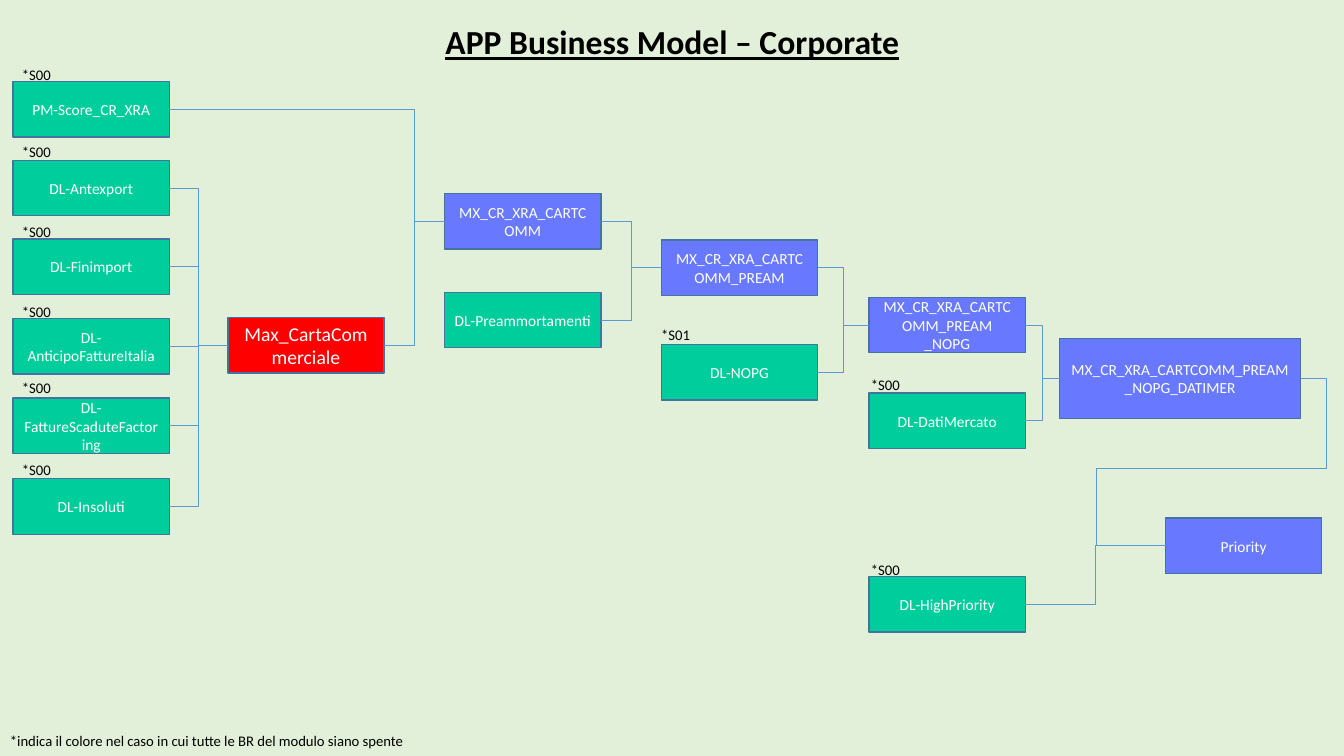
"""Build the corporate business model flow slide."""
from lxml.etree import SubElement
from pptx import Presentation
from pptx.dml.color import RGBColor
from pptx.enum.shapes import MSO_CONNECTOR as Link, MSO_SHAPE as Preset
from pptx.enum.text import MSO_ANCHOR as Anchor, PP_ALIGN as Align
from pptx.oxml.ns import qn
from pptx.util import Inches, Pt

COLORS = {
    "background": "E2F0D9",
    "source": "00CD9C",
    "merge": "6879FF",
    "maximum": "FF0000",
    "border": "43739E",
    "link": "5B9BD5",
    "dark": "000000",
    "light": "FFFFFF",
}
TITLE = {"size": Pt(24), "bold": True, "underline": True}
NOTE = {"size": Pt(10.5)}
MODULE = {"size": Pt(11)}
MAXIMUM = {"size": Pt(14)}
MODULE_W, MODULE_H = 1.55, 0.55
LEFT_SITE, RIGHT_SITE = 1, 3


def color(name):
    """Return the named colour."""
    return RGBColor.from_string(COLORS[name])


def write(frame, text, style, ink, align, anchor):
    """Fill a text frame with evenly styled paragraphs."""
    frame.word_wrap = True
    frame.vertical_anchor = anchor
    frame.text = text
    for paragraph in frame.paragraphs:
        paragraph.alignment = align
        font = paragraph.font
        for run in paragraph.runs:
            font = run.font
            font.name = "Calibri"
            font.color.rgb = color(ink)
            for key, value in style.items():
                setattr(font, key, value)


def add_note(slide, box, text, style=NOTE, anchor=Anchor.TOP):
    """Add plain dark text in the given box."""
    note = slide.shapes.add_textbox(*map(Inches, box))
    write(note.text_frame, text, style, "dark", Align.LEFT, anchor)


def add_module(slide, left, top, text, kind="source", size=(MODULE_W, MODULE_H),
               style=MODULE, tag=None):
    """Add a module and, if given, its tag as text, shift and lift."""
    module = slide.shapes.add_shape(
        Preset.RECTANGLE, *map(Inches, (left, top, *size)))
    module.shadow.inherit = False
    module.fill.solid()
    module.fill.fore_color.rgb = color(kind)
    module.line.color.rgb = color("border")
    module.line.width = Pt(1)
    write(module.text_frame, text, style, "light", Align.CENTER, Anchor.MIDDLE)
    if tag:
        label, shift, lift = tag
        add_note(slide, (left - shift, top - lift, 1.3, 0.29), label)
    return module


def connect(slide, start, end, bends=(0.5,)):
    """Link two modules with an elbow whose bends are fractions of its extent."""
    link = slide.shapes.add_connector(Link.ELBOW, 0, 0, 0, 0)
    link.begin_connect(start, RIGHT_SITE)
    link.end_connect(end, LEFT_SITE)
    link.line.color.rgb = color("link")
    link.line.width = Pt(0.5)
    properties = link.element.spPr
    SubElement(properties, qn("a:effectLst"))
    geometry = properties.find(qn("a:prstGeom"))
    geometry.set("prst", f"bentConnector{len(bends) + 2}")
    guides = geometry.find(qn("a:avLst"))
    for number, bend in enumerate(bends, 1):
        SubElement(guides, qn("a:gd"), name=f"adj{number}",
                   fmla=f"val {round(bend * 100000)}")


def add_sources(slide, left, top):
    """Stack the tagged source modules and return them."""
    sources = (
        (0, "PM-Score_CR_XRA", 0.21),
        (0.78, "DL-Antexport", 0.22),
        (1.56, "DL-Finimport", 0.21),
        (2.35, "DL-AnticipoFattureItalia", 0.21),
        (3.14, "DL-FattureScaduteFactoring", 0.24),
        (3.94, "DL-Insoluti", 0.23),
    )
    return [add_module(slide, left, top + drop, text, tag=("*S00", 0.01, lift))
            for drop, text, lift in sources]


def add_chain(slide, left, top, sources):
    """Add the merging chain fed by the sources and return its last module."""
    score, *commercial = sources
    maximum = add_module(slide, left, top + 1.23, "Max_CartaCommerciale",
                         "maximum", style=MAXIMUM)
    for source in commercial:
        connect(slide, source, maximum)

    steps = (
        ((2.15, 0), "MX_CR_XRA_CARTCOMM", (MODULE_W, MODULE_H),
         (0.98, "DL-Preammortamenti", None)),
        ((4.3, 0.46), "MX_CR_XRA_CARTCOMM_PREAM", (MODULE_W, MODULE_H),
         (1.04, "DL-NOPG", ("*S01", 0.1, 0.24))),
        ((6.36, 1.03), "MX_CR_XRA_CARTCOMM_PREAM\n_NOPG", (MODULE_W, MODULE_H),
         (0.95, "DL-DatiMercato", ("*S00", 0.08, 0.22))),
        ((8.25, 1.44), "MX_CR_XRA_CARTCOMM_PREAM\n_NOPG_DATIMER", (2.39, 0.79),
         None),
    )
    feeds = [(score, (0.89,)), (maximum, (0.5,))]
    for (shift, drop), text, size, extra in steps:
        merged = add_module(slide, left + shift, top + drop, text, "merge", size)
        for feed, bends in feeds:
            connect(slide, feed, merged, bends)
        feeds = [(merged, (0.5,))]
        if extra:
            gap, name, tag = extra
            added = add_module(slide, left + shift, top + drop + gap, name, tag=tag)
            feeds.append((added, (0.5,)))
    return merged


def add_priority(slide, left, top, merged):
    """Add the closing priority step."""
    high = add_module(slide, left, top + 0.58, "DL-HighPriority",
                      tag=("*S00", 0.08, 0.21))
    priority = add_module(slide, left + 2.94, top, "Priority", "merge")
    connect(slide, high, priority)
    connect(slide, merged, priority, (-0.19, 0.54, 1.51))


def main():
    """Compose and save the slide."""
    deck = Presentation()
    deck.slide_width, deck.slide_height = Inches(13.33), Inches(7.5)
    slide = deck.slides.add_slide(deck.slide_layouts[6])
    backdrop = slide.background.fill
    backdrop.solid()
    backdrop.fore_color.rgb = color("background")
    add_note(slide, (4.32, 0.07, 5.31, 0.59), "APP Business Model – Corporate",
             TITLE, Anchor.BOTTOM)
    add_note(slide, (0, 7.21, 4.32, 0.28),
             "*indica il colore nel caso in cui tutte le BR del modulo siano spente")
    sources = add_sources(slide, 0.13, 0.81)
    merged = add_chain(slide, 2.26, 1.92, sources)
    add_priority(slide, 8.62, 5.14, merged)
    deck.save("out.pptx")


if __name__ == "__main__":
    main()
